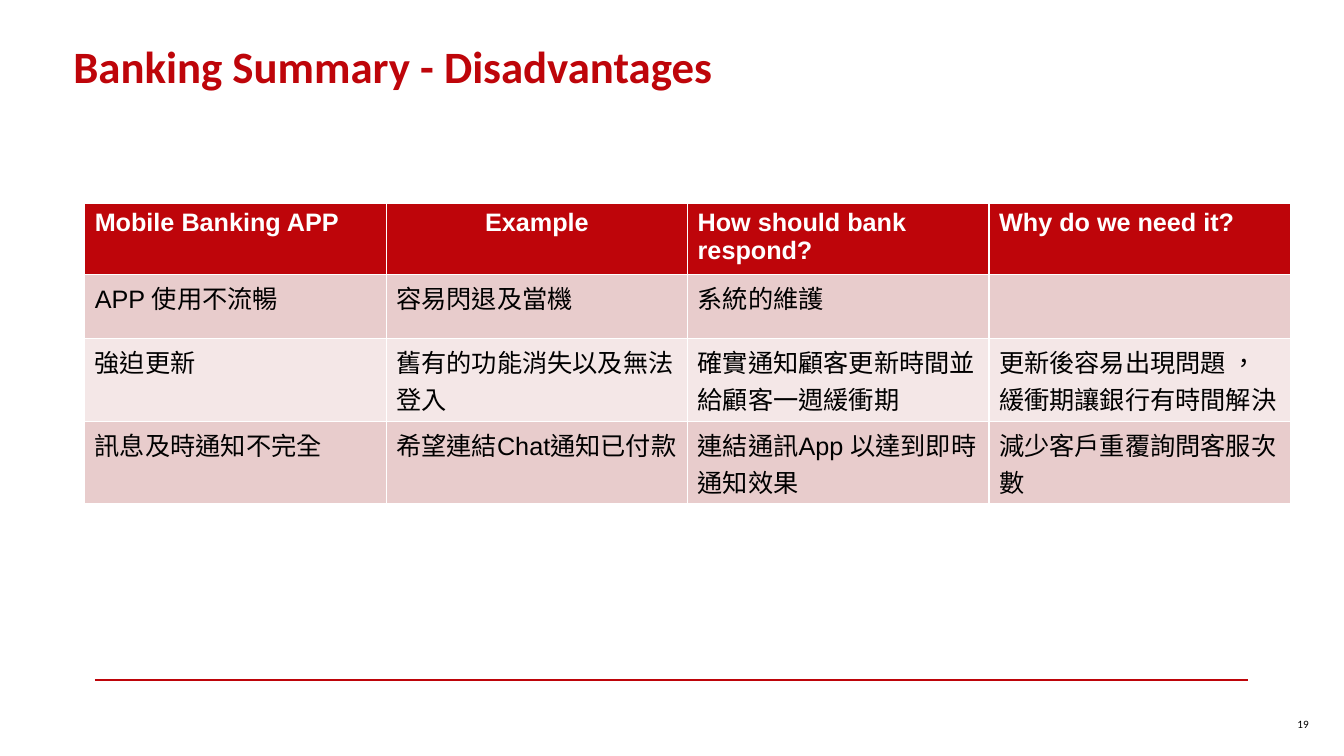
from lxml import etree
from pptx import Presentation
from pptx.dml.color import RGBColor
from pptx.enum.shapes import MSO_CONNECTOR
from pptx.enum.text import MSO_ANCHOR, PP_ALIGN
from pptx.oxml.ns import qn
from pptx.util import Inches, Pt

LINE = MSO_CONNECTOR.STRAIGHT
MIDDLE = MSO_ANCHOR.MIDDLE
LEFT, CENTER, RIGHT = PP_ALIGN.LEFT, PP_ALIGN.CENTER, PP_ALIGN.RIGHT

COLORS = {
    "red": "BE050A",
    "rose": "E8CCCC",
    "pale": "F4E7E7",
    "white": "FFFFFF",
    "black": "000000",
}

ROWS = [
    ["Mobile Banking APP", "Example", "How should bank respond?",
     "Why do we need it?"],
    ["APP 使用不流暢", "容易閃退及當機", "系統的維護", ""],
    ["強迫更新", "舊有的功能消失以及無法登入",
     "確實通知顧客更新時間並給顧客一週緩衝期",
     "更新後容易出現問題 ，緩衝期讓銀行有時間解決"],
    ["訊息及時通知不完全", "希望連結Chat通知已付款",
     "連結通訊App 以達到即時通知效果", "減少客戶重覆詢問客服次數"],
]
HEIGHTS = [0.66, 0.64, 0.82, 0.82]


def color(name):
    return RGBColor.from_string(COLORS[name])


def style(par, face, size, ink, bold=False, align=LEFT, lang="en-US"):
    par.alignment = align
    for run in par.runs:
        font = run.font
        font.name, font.size, font.bold = face, Pt(size), bold
        font.color.rgb = color(ink)
        run._r.get_or_add_rPr().set("lang", lang)


def add_text(slide, box, text, wrap=True, **look):
    frame = slide.shapes.add_textbox(*map(Inches, box)).text_frame
    frame.word_wrap = wrap
    frame.vertical_anchor = MIDDLE
    frame.text = text
    style(frame.paragraphs[0], "Calibri", **look)


def add_rule(slide, left, right, top):
    rule = slide.shapes.add_connector(
        LINE, Inches(left), Inches(top), Inches(right), Inches(top))
    rule.line.color.rgb = color("red")
    rule.line.width = Pt(1.5)
    etree.SubElement(rule._element.spPr, qn("a:effectLst"))


def add_grid(slide, left, top, width, rows, heights):
    """Table with a red header row and banded rows below it."""
    box = left, top, width, sum(heights)
    table = slide.shapes.add_table(
        len(rows), len(rows[0]), *map(Inches, box)).table
    for r, (row, height) in enumerate(zip(rows, heights)):
        table.rows[r].height = Inches(height)
        head = r == 0
        fill = "red" if head else "rose" if r % 2 else "pale"
        for c, text in enumerate(row):
            cell = table.cell(r, c)
            cell.fill.solid()
            cell.fill.fore_color.rgb = color(fill)
            cell.text = text
            style(cell.text_frame.paragraphs[0], "Arial", 18,
                  "white" if head else "black", bold=head,
                  align=CENTER if head and c == 1 else LEFT,
                  lang="en-US" if head else "zh-TW")


def main():
    deck = Presentation()
    deck.slide_width, deck.slide_height = Inches(13.33), Inches(7.5)
    slide = deck.slides.add_slide(deck.slide_layouts[6])
    add_rule(slide, 0.94, 12.38, 6.75)
    add_text(slide, (11.52, 6.97, 1.56, 0.42), "19", wrap=False,
             size=8, ink="black", align=RIGHT)
    add_text(slide, (0.63, 0.34, 12.7, 0.62),
             "Banking Summary - Disadvantages", size=32, ink="red", bold=True)
    add_grid(slide, 0.84, 2.02, 11.96, ROWS, HEIGHTS)
    deck.save("out.pptx")


if __name__ == "__main__":
    main()
